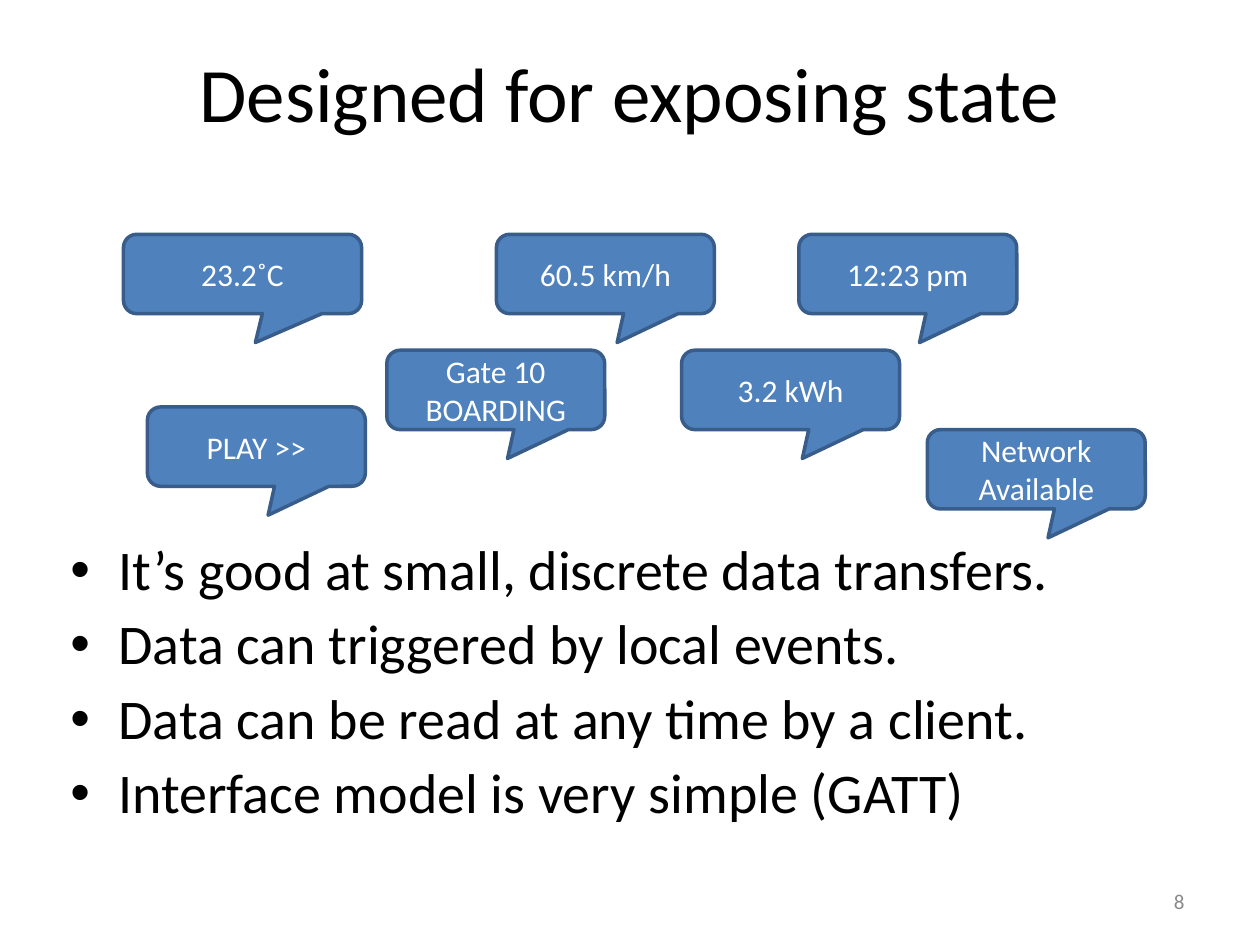
from pptx import Presentation
from pptx.dml.color import RGBColor
from pptx.enum.shapes import MSO_SHAPE
from pptx.enum.text import MSO_ANCHOR, PP_ALIGN
from pptx.oxml.ns import qn
from pptx.util import Inches, Pt
from lxml.etree import SubElement

COLORS = {"text": "000000", "number": "898989", "fill": "4F81BD",
          "line": "385D8A", "callout": "FFFFFF"}
FONT = "Calibri"

TITLE = "Designed for exposing state"
BULLETS = [
    "It’s good at small, discrete data transfers.",
    "Data can triggered by local events.",
    "Data can be read at any time by a client.",
    "Interface model is very simple (GATT)",
]
PAGE_NUMBER = "8"

CALLOUT_W, CALLOUT_H = 1.73, 0.63
WIDE_W = 1.89
ROW_1, ROW_2 = 1.86, 2.78
CALLOUTS = [  # text, left, top, width
    ("23.2˚C", 0.98, ROW_1, WIDE_W),
    ("Gate 10 BOARDING", 3.07, ROW_2, CALLOUT_W),
    ("12:23 pm", 6.34, ROW_1, CALLOUT_W),
    ("60.5 km/h", 3.94, ROW_1, CALLOUT_W),
    ("3.2 kWh", 5.41, ROW_2, CALLOUT_W),
    ("PLAY >>", 1.17, 3.23, CALLOUT_W),
    ("Network Available", 7.36, 3.41, CALLOUT_W),
]
CALLOUT_ADJ = (0.054, 0.864, 0.167)
INDENT = 0.38


def rgb(name):
    return RGBColor.from_string(COLORS[name])


def add_bullet(p):
    pPr = p._p.get_or_add_pPr()
    pPr.set("marL", str(Inches(INDENT)))
    pPr.set("indent", str(-Inches(INDENT)))
    SubElement(pPr, qn("a:buFont")).set("typeface", "Arial")
    SubElement(pPr, qn("a:buChar")).set("char", "•")


def write(tf, lines, size, color="text", align=PP_ALIGN.CENTER,
          anchor=MSO_ANCHOR.MIDDLE, margins=(0.1, 0.05), bullets=False):
    tf.word_wrap = True
    tf.vertical_anchor = anchor
    tf.margin_left = tf.margin_right = Inches(margins[0])
    tf.margin_top = tf.margin_bottom = Inches(margins[1])
    for i, line in enumerate(lines):
        p = tf.add_paragraph() if i else tf.paragraphs[0]
        p.alignment = align
        if bullets:
            p.line_spacing = 0.9
            if i:
                p.space_before = Pt(8)
            add_bullet(p)
        r = p.add_run()
        r.text = line
        r.font.name = FONT
        r.font.size = Pt(size)
        r.font.color.rgb = rgb(color)


def add_text(s, box, lines, size, **fmt):
    sp = s.shapes.add_textbox(*map(Inches, box))
    write(sp.text_frame, lines, size, **fmt)


def add_callout(s, text, left, top, width):
    sp = s.shapes.add_shape(MSO_SHAPE.ROUNDED_RECTANGULAR_CALLOUT,
                            *map(Inches, (left, top, width, CALLOUT_H)))
    for i, value in enumerate(CALLOUT_ADJ):
        sp.adjustments[i] = value
    sp.shadow.inherit = False
    sp.fill.solid()
    sp.fill.fore_color.rgb = rgb("fill")
    sp.line.color.rgb = rgb("line")
    sp.line.width = Pt(2)
    write(sp.text_frame, [text], 18, color="callout")


prs = Presentation()
prs.slide_width, prs.slide_height = Inches(10), Inches(7.5)
s = prs.slides.add_slide(prs.slide_layouts[6])

add_text(s, (0.5, 0.3, 9, 0.85), [TITLE], 44, margins=(0, 0))
add_text(s, (0.5, 4.3, 9, 2.52), BULLETS, 32, align=PP_ALIGN.LEFT,
         anchor=MSO_ANCHOR.TOP, margins=(0.06, 0), bullets=True)
add_text(s, (7.17, 6.95, 2.33, 0.4), [PAGE_NUMBER], 12, color="number",
         align=PP_ALIGN.RIGHT)
for callout in CALLOUTS:
    add_callout(s, *callout)

prs.save("out.pptx")
